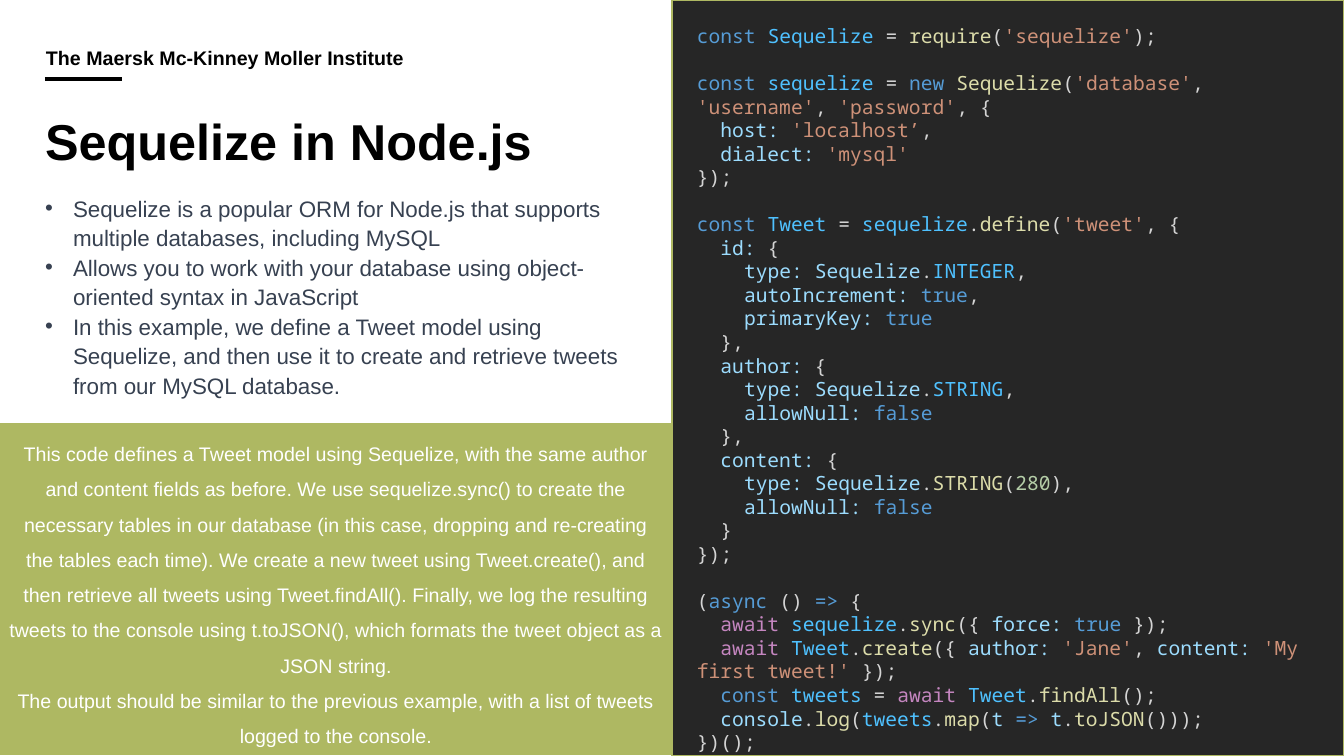
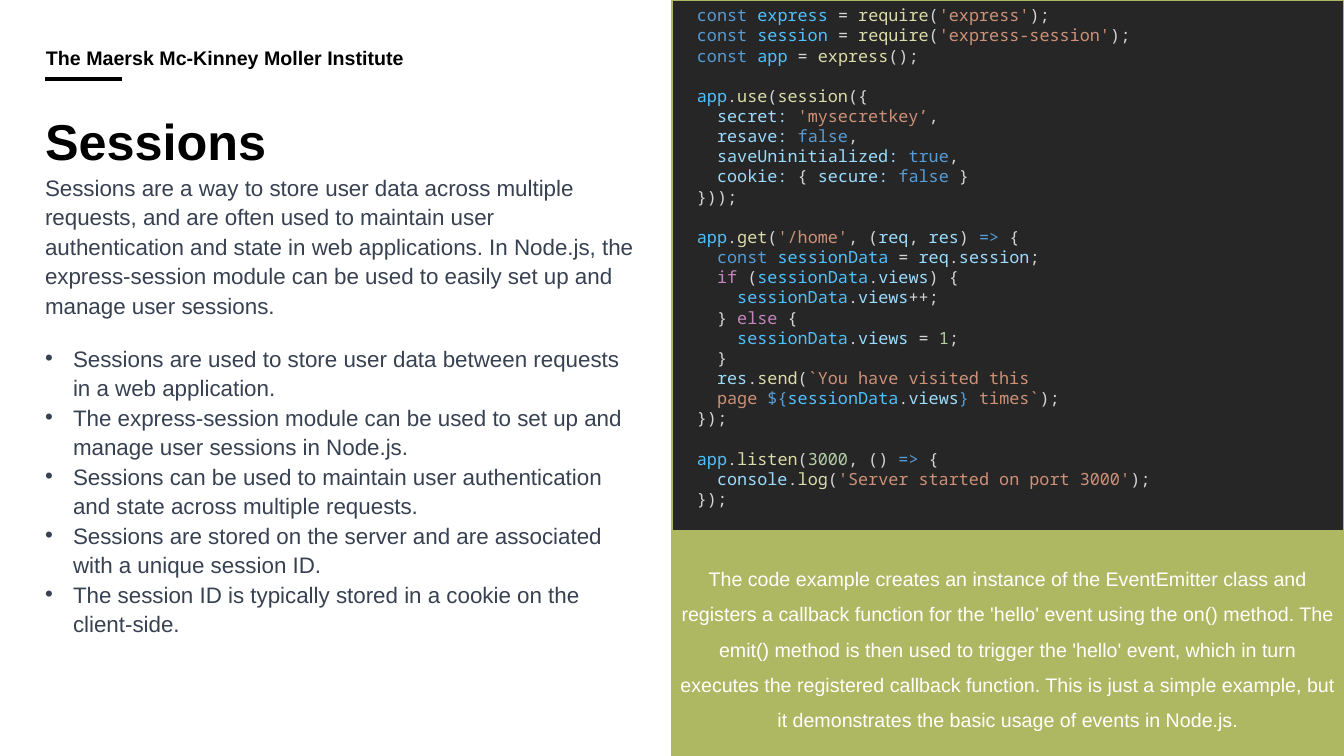
import itertools
from dataclasses import dataclass
from typing import Iterator, NamedTuple

import pptx
import pptx.slide
import pptx.text.text
import pptx.util
from lxml import etree
from pptx.dml.color import RGBColor
from pptx.enum.shapes import MSO_CONNECTOR, MSO_SHAPE
from pptx.enum.text import MSO_ANCHOR, MSO_AUTO_SIZE, PP_ALIGN
from pptx.oxml.ns import qn

# Palette and fonts
BLACK = RGBColor(0x00, 0x00, 0x00)
WHITE = RGBColor(0xFF, 0xFF, 0xFF)
SLATE = RGBColor(0x37, 0x41, 0x51)
OLIVE = RGBColor(0xAE, 0xB8, 0x62)
CHARCOAL = RGBColor(0x26, 0x26, 0x26)

KEYWORD = RGBColor(0x56, 0x9C, 0xD6)
CONTROL = RGBColor(0xC5, 0x86, 0xC0)
CONSTANT = RGBColor(0x4F, 0xC1, 0xFF)
FUNCTION = RGBColor(0xDC, 0xDC, 0xAA)
PROPERTY = RGBColor(0x9C, 0xDC, 0xFE)
STRING = RGBColor(0xCE, 0x91, 0x78)
NUMBER = RGBColor(0xB5, 0xCE, 0xA8)
PLAIN = RGBColor(0xD4, 0xD4, 0xD4)

TEXT_FONT = "Arial"
CODE_FONT = "Noto Sans Mono"

# Words the highlighter knows; other names are coloured by their context
WORD_COLOURS = {
    **dict.fromkeys(("const", "new", "async", "true", "false"), KEYWORD),
    **dict.fromkeys(("await", "if", "else"), CONTROL),
}
CONSTANT_NAMES = {"sequelize", "Tweet", "tweets", "app", "sessionData"}

# Geometry in px
SLIDE_WIDTH, SLIDE_HEIGHT = 1344, 756
HALF = SLIDE_WIDTH // 2
MARGIN = 45
COLUMN = 589
BULLET_INDENT = 28
CODE_LEFT = 687
EMU_PER_PX = 914400 / 100.8

INSTITUTE = "The Maersk Mc-Kinney Moller Institute"

SEQUELIZE_CODE = """\
const Sequelize = require('sequelize');

const sequelize = new Sequelize('database', 'username', 'password', {
  host: 'localhost’,
  dialect: 'mysql'
});

const Tweet = sequelize.define('tweet', {
  id: {
    type: Sequelize.INTEGER,
    autoIncrement: true,
    primaryKey: true
  },
  author: {
    type: Sequelize.STRING,
    allowNull: false
  },
  content: {
    type: Sequelize.STRING(280),
    allowNull: false
  }
});

(async () => {
  await sequelize.sync({ force: true });
  await Tweet.create({ author: 'Jane', content: 'My first tweet!' });
  const tweets = await Tweet.findAll();
  console.log(tweets.map(t => t.toJSON()));
})();"""

SESSION_CODE = """\
const express = require('express');
const session = require('express-session');
const app = express();

app.use(session({
  secret: 'mysecretkey’,
  resave: false,
  saveUninitialized: true,
  cookie: { secure: false }
}));

app.get('/home', (req, res) => {
  const sessionData = req.session;
  if (sessionData.views) {
    sessionData.views++;
  } else {
    sessionData.views = 1;
  }
  res.send(`You have visited this
  page ${sessionData.views} times`);
});

app.listen(3000, () => {
  console.log('Server started on port 3000');
});"""


class Box(NamedTuple):
    left: int
    top: int
    width: int
    height: int


class Token(NamedTuple):
    text: str
    colour: RGBColor


@dataclass(frozen=True)
class Passage:
    box: Box
    paragraphs: list[str]
    bulleted: bool = True


@dataclass(frozen=True)
class Lesson:
    title: str
    passages: list[Passage]
    code: str
    code_box: Box
    code_size: int
    note: list[str]
    note_box: Box


LESSONS = [
    Lesson(
        title="Sequelize in Node.js",
        passages=[Passage(Box(MARGIN, 192, COLUMN, 233), [
            "Sequelize is a popular ORM for Node.js that supports multiple databases, including MySQL",
            "Allows you to work with your database using object-oriented syntax in JavaScript",
            "In this example, we define a Tweet model using Sequelize, and then use it to create "
            "and retrieve tweets from our MySQL database.",
        ])],
        code=SEQUELIZE_CODE,
        code_box=Box(CODE_LEFT, 19, 656, 737),
        code_size=14,
        note=[
            "This code defines a Tweet model using Sequelize, with the same author and content "
            "fields as before. We use sequelize.sync() to create the necessary tables in our "
            "database (in this case, dropping and re-creating the tables each time). We create a "
            "new tweet using Tweet.create(), and then retrieve all tweets using Tweet.findAll(). "
            "Finally, we log the resulting tweets to the console using t.toJSON(), which formats "
            "the tweet object as a JSON string.",
            "The output should be similar to the previous example, with a list of tweets logged "
            "to the console.",
        ],
        note_box=Box(0, 424, HALF, 330),
    ),
    Lesson(
        title="Sessions",
        passages=[
            Passage(Box(MARGIN, 171, COLUMN, 156), [
                "Sessions are a way to store user data across multiple requests, and are often used "
                "to maintain user authentication and state in web applications. In Node.js, the "
                "express-session module can be used to easily set up and manage user sessions.",
            ], bulleted=False),
            Passage(Box(MARGIN, 342, COLUMN, 304), [
                "Sessions are used to store user data between requests in a web application.",
                "The express-session module can be used to set up and manage user sessions in Node.js.",
                "Sessions can be used to maintain user authentication and state across multiple requests.",
                "Sessions are stored on the server and are associated with a unique session ID.",
                "The session ID is typically stored in a cookie on the client-side.",
            ]),
        ],
        code=SESSION_CODE,
        code_box=Box(CODE_LEFT, 0, 635, 531),
        code_size=12,
        note=[
            "The code example creates an instance of the EventEmitter class and registers a "
            "callback function for the 'hello' event using the on() method. The emit() method is "
            "then used to trigger the 'hello' event, which in turn executes the registered callback "
            "function. This is just a simple example, but it demonstrates the basic usage of events "
            "in Node.js.",
        ],
        note_box=Box(HALF, 531, HALF, 225),
    ),
]


def px(length: int) -> pptx.util.Emu:
    return pptx.util.Emu(round(length * EMU_PER_PX))


def place(shape, box: Box) -> None:
    shape.left, shape.top, shape.width, shape.height = map(px, box)


def set_frame(frame: pptx.text.text.TextFrame, anchor: MSO_ANCHOR, *insets: int) -> None:
    frame.word_wrap = True
    frame.auto_size = MSO_AUTO_SIZE.NONE
    frame.vertical_anchor = anchor
    if insets:
        (frame.margin_left, frame.margin_top,
         frame.margin_right, frame.margin_bottom) = map(px, insets)


def write(frame: pptx.text.text.TextFrame, paragraphs: list[str], size: int, colour: RGBColor,
          spacing: float = 1.0, align: PP_ALIGN = PP_ALIGN.LEFT, bold: bool = False) -> None:
    frame.text = "\n".join(paragraphs)
    for paragraph in frame.paragraphs:
        paragraph.alignment = align
        paragraph.line_spacing = spacing
        paragraph.space_before = paragraph.space_after = pptx.util.Pt(0)
        for run in paragraph.runs:
            style_run(run, TEXT_FONT, size, colour, bold)


def style_run(run, font: str, size: int, colour: RGBColor, bold: bool = False) -> None:
    run.font.name = font
    run.font.size = pptx.util.Pt(size)
    run.font.bold = bold
    run.font.color.rgb = colour


def set_bullet(paragraph, bulleted: bool) -> None:
    properties = paragraph._p.get_or_add_pPr()
    indent = px(BULLET_INDENT) if bulleted else 0
    properties.set("marL", str(indent))
    properties.set("indent", str(-indent))
    if bulleted:
        etree.SubElement(properties, qn("a:buFont")).set("typeface", TEXT_FONT)
        etree.SubElement(properties, qn("a:buChar")).set("char", "•")
    else:
        etree.SubElement(properties, qn("a:buNone"))


# Syntax highlighting
def tokenize(code: str) -> Iterator[Token]:
    at, previous, interpolating = 0, "", False
    while at < len(code):
        char, start, end = code[at], at, at + 1
        if char == "`" or (interpolating and char == "}"):
            if char == "}":
                yield Token(char, KEYWORD)
                start = end
            close, hole = code.find("`", at + 1), code.find("${", at + 1)
            interpolating = 0 <= hole < close
            end = hole if interpolating else close + 1
            yield Token(code[start:end], STRING)
            if interpolating:
                yield Token("${", KEYWORD)
                end += 2
        elif char == "'":
            while code[end] not in "'’":
                end += 1
            end += 1
            yield Token(code[at:end], STRING)
        elif char.isalnum():
            while end < len(code) and code[end].isalnum():
                end += 1
            word = code[at:end]
            if code.startswith(":", end):
                end += 1
            yield Token(code[at:end], word_colour(word, previous, code[end:end + 1]))
            previous = word
        elif code.startswith("=>", at):
            end += 1
            yield Token("=>", KEYWORD)
        else:
            yield Token(char, PLAIN)
        at = end


def word_colour(word: str, previous: str, following: str) -> RGBColor:
    if word in WORD_COLOURS:
        return WORD_COLOURS[word]
    if word.isdigit():
        return NUMBER
    if following == "(":
        return FUNCTION
    if previous == "const" or word in CONSTANT_NAMES or word.isupper():
        return CONSTANT
    return PROPERTY


def code_lines(code: str) -> list[list[Token]]:
    lines: list[list[Token]] = [[]]
    for colour, group in itertools.groupby(tokenize(code), key=lambda token: token.colour):
        for index, piece in enumerate("".join(token.text for token in group).split("\n")):
            if index:
                lines.append([])
            if piece:
                lines[-1].append(Token(piece, colour))
    return lines


# Slide parts
def add_header(slide: pptx.slide.Slide) -> None:
    rule = slide.shapes.add_connector(MSO_CONNECTOR.STRAIGHT, px(MARGIN), px(79), px(122), px(79))
    rule.line.color.rgb = BLACK
    rule.line.width = pptx.util.Pt(3)
    etree.SubElement(rule._element.spPr, qn("a:effectLst"))
    header = slide.shapes.add_textbox(*map(px, Box(MARGIN, 49, 627, 31))).text_frame
    set_frame(header, MSO_ANCHOR.BOTTOM, 1, 0, 0, 10)
    write(header, [INSTITUTE], 14, BLACK, spacing=0.9, bold=True)


def add_panel(slide: pptx.slide.Slide, box: Box, fill: RGBColor) -> pptx.text.text.TextFrame:
    panel = slide.shapes.add_shape(MSO_SHAPE.RECTANGLE, *map(px, box))
    panel.shadow.inherit = False
    panel.fill.solid()
    panel.fill.fore_color.rgb = fill
    panel.line.color.rgb = OLIVE
    panel.line.width = pptx.util.Pt(1)
    return panel.text_frame


def add_code(slide: pptx.slide.Slide, code: str, box: Box, size: int) -> None:
    frame = slide.shapes.add_textbox(*map(px, box)).text_frame
    set_frame(frame, MSO_ANCHOR.TOP)
    paragraph, gap = frame.paragraphs[0], 0.0
    for number, line in enumerate(code_lines(code)):
        if not line:
            gap = 1.2 * size
            continue
        if number:
            paragraph = frame.add_paragraph()
        paragraph.space_before = pptx.util.Pt(gap)
        gap = 0.0
        for token in line:
            run = paragraph.add_run()
            run.text = token.text
            style_run(run, CODE_FONT, size, token.colour)


def add_lesson(deck, lesson: Lesson) -> None:
    # "Title and Content" for one passage, "Two Content" for two
    layout = deck.slide_layouts[1 if len(lesson.passages) == 1 else 3]
    slide = deck.slides.add_slide(layout)
    add_header(slide)
    place(slide.shapes.title, Box(MARGIN, 110, 605, 81))
    set_frame(slide.shapes.title.text_frame, MSO_ANCHOR.TOP, 0, 0, 0, 0)
    write(slide.shapes.title.text_frame, [lesson.title], 36, BLACK, bold=True)

    for index, passage in enumerate(lesson.passages, start=1):
        body = slide.placeholders[index]
        place(body, passage.box)
        set_frame(body.text_frame, MSO_ANCHOR.TOP, 0, 0, 0, 0)
        write(body.text_frame, passage.paragraphs, 16, SLATE, spacing=1.1)
        for paragraph in body.text_frame.paragraphs:
            set_bullet(paragraph, passage.bulleted)

    add_panel(slide, Box(HALF, 0, HALF, SLIDE_HEIGHT), CHARCOAL)
    add_code(slide, lesson.code, lesson.code_box, lesson.code_size)
    note = add_panel(slide, lesson.note_box, OLIVE)
    set_frame(note, MSO_ANCHOR.MIDDLE, 8, 8, 8, 8)
    write(note, lesson.note, 14, WHITE, spacing=1.5, align=PP_ALIGN.CENTER)


def main() -> None:
    deck = pptx.Presentation()
    deck.slide_width, deck.slide_height = px(SLIDE_WIDTH), px(SLIDE_HEIGHT)
    for lesson in LESSONS:
        add_lesson(deck, lesson)
    deck.save("out.pptx")


if __name__ == "__main__":
    main()
